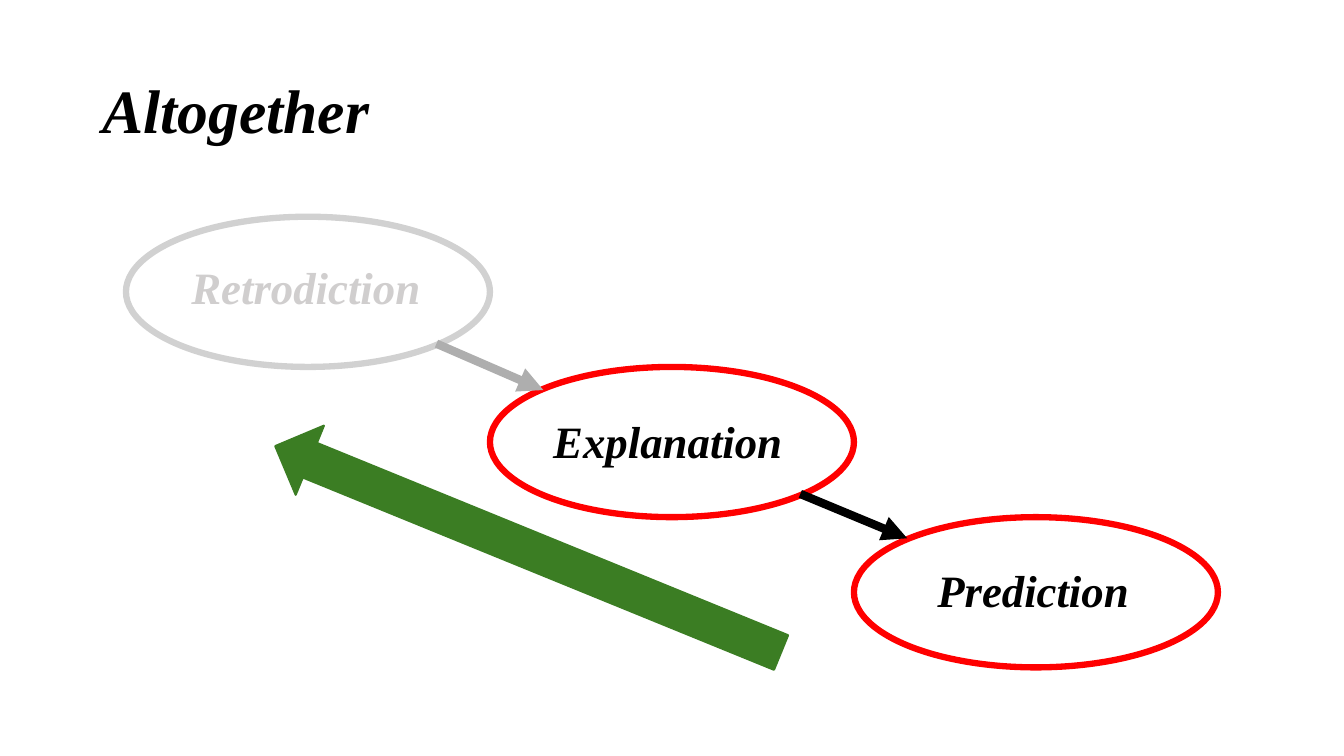
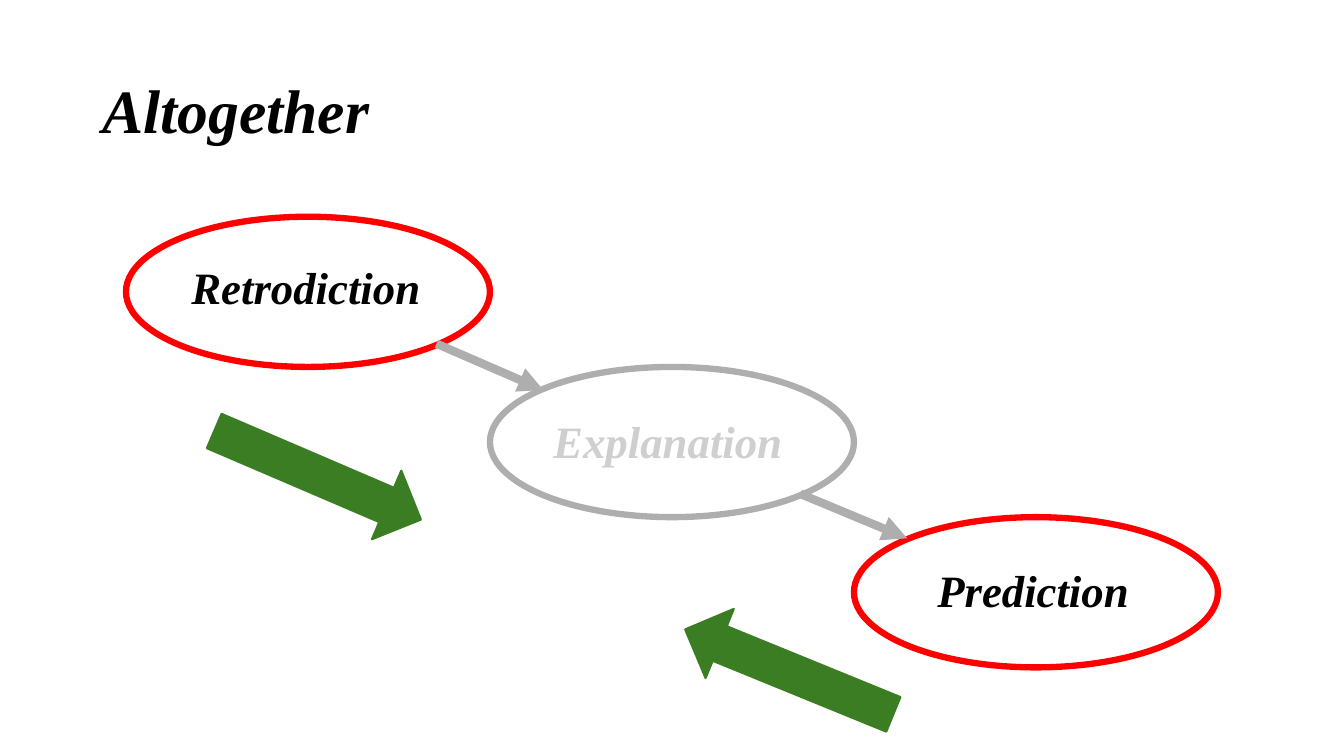
from lxml import etree
from pptx import Presentation
from pptx.dml.color import RGBColor
from pptx.enum import shapes, text
from pptx.oxml.ns import qn
from pptx.util import Pt

BLACK, RED, GREEN = "000000", "FF0000", "3B7D23"
GREY, PALE, FAINT = "AEAEAE", "D1D1D1", "D0CECE"

# Label, then left, top and width of its text box
STAGES = [
    ("Retrodiction", 129.6, 182.2, 190),
    ("Explanation", 388.1, 292.3, 184),
    ("Prediction", 662.4, 398.2, 156),
]
# Start and end of the link after each of the first two stages
LINKS = [(311.8, 245.5, 388.1, 278.6), (571.7, 352.8, 648, 384.5)]


def rgb(code):
    return RGBColor.from_string(code)


class Deck:
    font = "Times New Roman"
    wide, high = 260, 107.3  # ellipse size, also the step between stages

    def __init__(self):
        self.prs = Presentation()
        self.prs.slide_width, self.prs.slide_height = Pt(960), Pt(540)

    def label(self, frame, words, size, color):
        para = frame.paragraphs[0]
        para.alignment = text.PP_ALIGN.LEFT
        run = para.add_run()
        run.text = words
        font = run.font
        font.name, font.size = self.font, Pt(size)
        font.bold = font.italic = True
        font.color.rgb = rgb(color)
        return para

    def slide(self, title):
        self.page = self.prs.slides.add_slide(self.prs.slide_layouts[5])
        head = self.page.shapes.title
        head.left, head.top = Pt(66), Pt(28.8)
        head.width, head.height = Pt(828), Pt(104.4)
        frame = head.text_frame
        frame.vertical_anchor = text.MSO_ANCHOR.MIDDLE
        frame.auto_size = text.MSO_AUTO_SIZE.NONE
        self.label(frame, title, 44, BLACK).line_spacing = 0.9

    def shape(self, kind, left, top, width, height, line, weight):
        item = self.page.shapes.add_shape(
            kind, Pt(left), Pt(top), Pt(width), Pt(height))
        item.shadow.inherit = False
        item.line.color.rgb = rgb(line)
        item.line.width = Pt(weight)
        return item

    def stage(self, place, ring, ink):
        words, left, top, width = STAGES[place]
        oval = self.shape(
            shapes.MSO_SHAPE.OVAL, 90 + place * self.wide,
            154.8 + place * self.high, self.wide, self.high, ring, 4.5)
        oval.fill.background()
        box = self.page.shapes.add_textbox(
            Pt(left), Pt(top), Pt(width), Pt(46))
        box.text_frame.word_wrap = True
        self.label(box.text_frame, words, 32, ink)

    def link(self, ends, color):
        wire = self.page.shapes.add_connector(
            shapes.MSO_CONNECTOR.STRAIGHT, *map(Pt, ends))
        wire.line.color.rgb = rgb(color)
        wire.line.width = Pt(6)
        props = wire._element.spPr
        etree.SubElement(props.find(qn("a:ln")), qn("a:tailEnd"),
                         type="triangle")
        etree.SubElement(props, qn("a:effectLst"))

    def arrow(self, left, top, length, turn):
        item = self.shape(shapes.MSO_SHAPE.DOWN_ARROW, left, top,
                          53.3, length, GREEN, 1.5)
        item.fill.solid()
        item.fill.fore_color.rgb = rgb(GREEN)
        item.rotation = turn

    def chain(self, looks, links, arrows):
        self.slide("Altogether")
        for place, (ring, ink) in enumerate(looks):
            self.stage(place, ring, ink)
        for ends, color in zip(LINKS, links):
            self.link(ends, color)
        for spot in arrows:
            self.arrow(*spot)


def main():
    deck = Deck()
    live = (RED, BLACK)

    # From prediction back to retrodiction
    deck.chain([(PALE, FAINT), live, live], [GREY, BLACK],
               [(350.6, 197.3, 390.2, 112.2)])

    # From both ends towards explanation
    deck.chain([live, (GREY, FAINT), live], [GREY, GREY],
               [(537.1, 399.6, 160.6, 112.2), (200.2, 259.2, 160.6, 293.2)])

    deck.prs.save("out.pptx")


if __name__ == "__main__":
    main()
